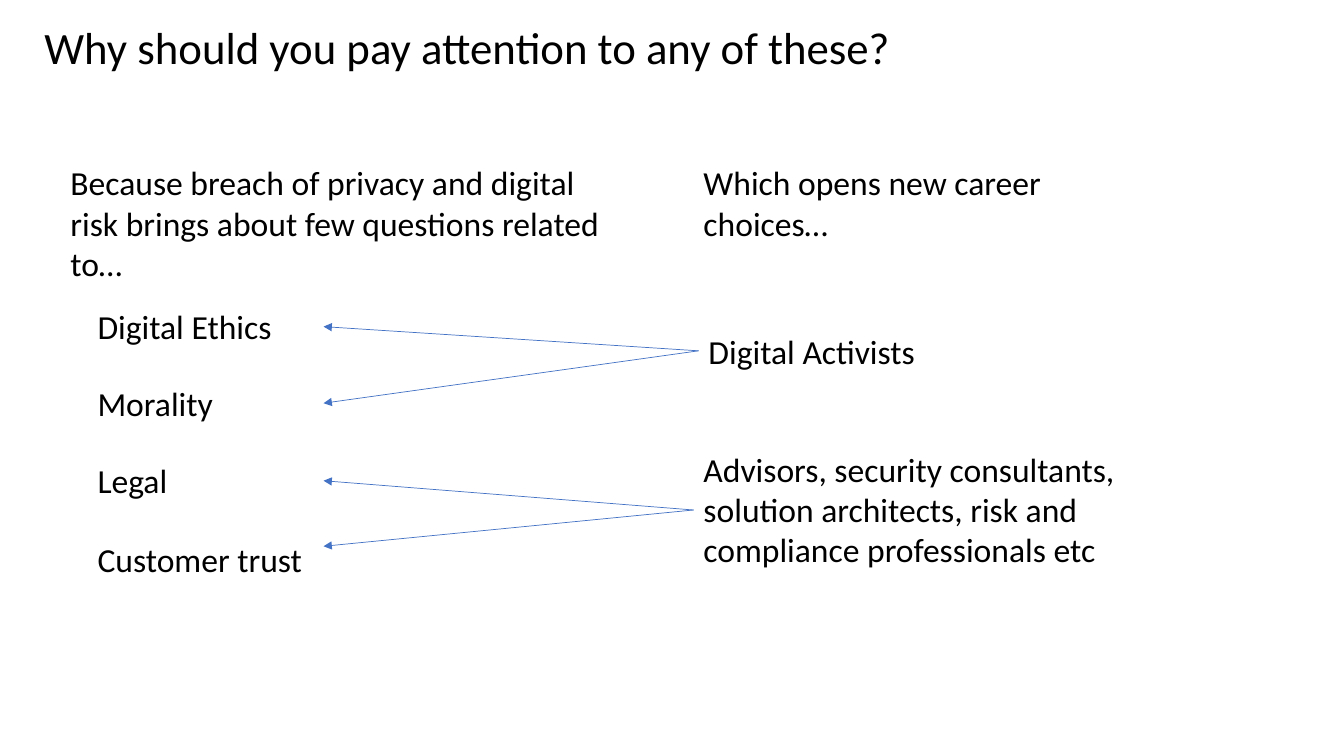
import pptx
import pptx.util
import pptx.dml.color
import pptx.enum.text
import pptx.enum.shapes
import pptx.oxml
import pptx.oxml.ns

Pt = pptx.util.Pt
Text = pptx.enum.text


def tint(code):
    return pptx.dml.color.RGBColor.from_string(code)


def write(shape, words, size):
    frame = shape.text_frame
    frame.word_wrap = True
    frame.text = words
    line = frame.paragraphs[0]
    line.alignment = Text.PP_ALIGN.LEFT
    line.font.size = Pt(size)
    line.font.name = "Calibri"
    line.font.color.rgb = tint("000000")
    return frame


deck = pptx.Presentation()
deck.slide_width = Pt(960)
deck.slide_height = Pt(540)
slide = deck.slides.add_slide(deck.slide_layouts[5])

title = slide.shapes.title
title.left, title.top, title.width, title.height = Pt(24.5), Pt(15.1), Pt(864.7), Pt(41.8)
frame = write(title, "Why should you pay attention to any of these?", 32)
frame.auto_size = Text.MSO_AUTO_SIZE.NONE
frame.vertical_anchor = Text.MSO_ANCHOR.BOTTOM
frame.paragraphs[0].line_spacing = 0.9

notes = [
    ("Because breach of privacy and digital risk brings about few questions related to…", 43.2, 112.3, 403.2, 94.3),
    ("Digital Ethics", 62.6, 215.3, 167.8, 36),
    ("Morality", 62.6, 270, 167.8, 36),
    ("Legal", 62.6, 324.7, 167.8, 36),
    ("Customer trust", 62.6, 381.6, 167.8, 36),
    ("Which opens new career choices…", 495.4, 112.3, 342, 65.5),
    ("Digital Activists", 499, 232.6, 167.8, 36),
    ("Advisors, security consultants, solution architects, risk and compliance professionals etc",
     495.4, 316.8, 379.4, 94.3),
]
for words, left, top, width, height in notes:
    box = slide.shapes.add_textbox(Pt(left), Pt(top), Pt(width), Pt(height))
    write(box, words, 24).auto_size = Text.MSO_AUTO_SIZE.SHAPE_TO_FIT_TEXT

links = [
    (499, 250.6, (233.3, 288)),
    (495.4, 364.3, (343.4, 390.2)),
]
for left, start, ends in links:
    for end in ends:
        link = slide.shapes.add_connector(
            pptx.enum.shapes.MSO_CONNECTOR.STRAIGHT, Pt(left), Pt(start), Pt(231.1), Pt(end))
        link.line.color.rgb = tint("4472C4")
        link.line.width = Pt(0.5)
        stroke = link.line._get_or_add_ln()
        head = pptx.oxml.parse_xml(f'<a:tailEnd {pptx.oxml.ns.nsdecls("a")} type="triangle"/>')
        stroke.append(head)
        plain = pptx.oxml.parse_xml(f'<a:effectLst {pptx.oxml.ns.nsdecls("a")}/>')
        link._element.spPr.append(plain)

deck.save("out.pptx")
